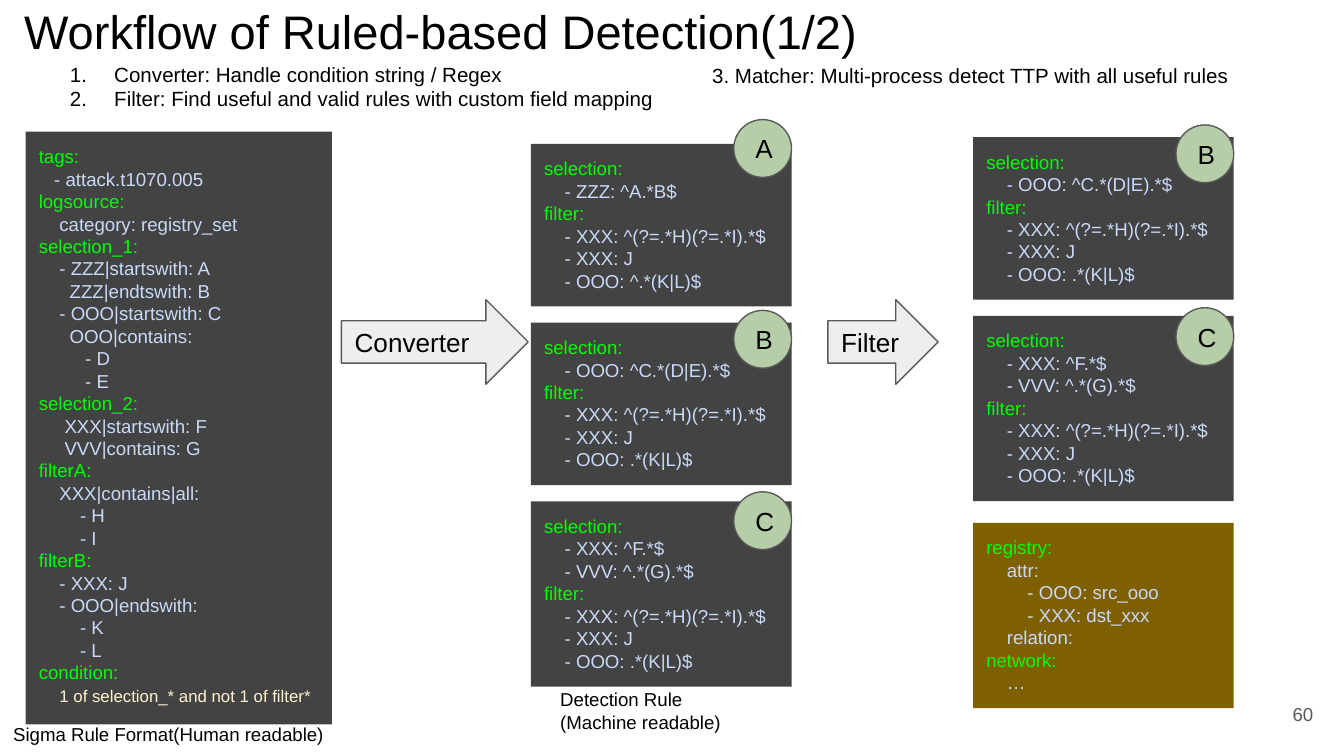
import copy
import pptx
import pptx.util
import pptx.dml.color
import pptx.enum.shapes
import pptx.enum.text
import lxml.etree

Inches, Pt = pptx.util.Inches, pptx.util.Pt
KIND = pptx.enum.shapes.MSO_SHAPE
ANCHOR = pptx.enum.text.MSO_ANCHOR
ALIGN = pptx.enum.text.PP_ALIGN
COLORS = {
    "black": "000000", "gray": "595959", "dark": "434343", "pale": "EEEEEE",
    "brown": "7F6000", "sage": "B5CEA8", "key": "00FF00", "value": "C9DAF8",
    "cream": "FFF2CC",
}

# Content: one string a paragraph, with \n for a line break inside it
TITLE = "Workflow of Ruled-based Detection(1/2)"
STEPS = [
    "Converter: Handle condition string / Regex",
    "Filter: Find useful and valid rules with custom field mapping",
]
MATCH = ["3. Matcher: Multi-process detect TTP with all useful rules"]
SIGMA = [
    "tags:", "   - attack.t1070.005",
    "logsource:", "    category: registry_set",
    "selection_1:",
    "    - ZZZ|startswith: A\n      ZZZ|endtswith: B",
    "    - OOO|startswith: C\n      OOO|contains:",
    "         - D\n         - E",
    "selection_2:", "     XXX|startswith: F\n     VVV|contains: G",
    "filterA:", "    XXX|contains|all:", "        - H\n        - I",
    "filterB:", "    - XXX: J", "    - OOO|endswith:",
    "        - K", "        - L",
    "condition: \n    ",
]
TAIL = "1 of selection_* and not 1 of filter*"
SELECT = {
    "A": "    - ZZZ: ^A.*B$",
    "B": "    - OOO: ^C.*(D|E).*$",
    "C": "    - XXX: ^F.*$\n    - VVV: ^.*(G).*$",
}
LAST = {"A": "^.*(K|L)$", "B": ".*(K|L)$", "C": ".*(K|L)$"}
FIELDS = [
    "registry:", "    attr:",
    "        - OOO: src_ooo\n        - XXX: dst_xxx",
    "    relation:", "network:", "    …",
]
# Rule cards: name, left, top, height, top of badge
CARDS = [
    ("A", 3.95, 1.07, 1.21, 0.89), ("B", 3.95, 2.4, 1.21, 2.31),
    ("C", 3.95, 3.73, 1.38, 3.66),
    ("B", 7.24, 1.02, 1.21, 0.93), ("C", 7.24, 2.35, 1.38, 2.29),
]
ARROWS = [("Converter", 2.54, 1.39), ("Filter", 6.16, 0.82)]
# Plain labels: lines, place, format
LABELS = [
    (MATCH, (5.2, 0.37, 5.45, 0.57), {"size": 11}),
    (["Sigma Rule Format(Human readable)"], (0, 5.28, 3.01, 0.37), {}),
    (["Detection Rule", "(Machine readable)"], (4.07, 5.02, 1.69, 0.54), {}),
    (["60"], (9.27, 5.1, 0.6, 0.43),
     {"color": "gray", "align": ALIGN.RIGHT, "anchor": ANCHOR.MIDDLE}),
]
CARD_W, BADGE = 1.94, 0.43


def rgb(name):
    return pptx.dml.color.RGBColor.from_string(COLORS[name])


def add_run(para, text, size, color):
    run = para.add_run()
    run.text = text
    run.font.name = "Arial"
    run.font.size = Pt(size)
    run.font.color.rgb = rgb(color)
    return run


def write(shape, lines, size=10, color="black", align=ALIGN.LEFT,
          anchor=ANCHOR.TOP, code=False, number=False, tail=""):
    """Fill a shape with one paragraph a line; tail ends the last one."""
    frame = shape.text_frame
    frame.word_wrap = True
    frame.auto_size = pptx.enum.text.MSO_AUTO_SIZE.NONE
    frame.vertical_anchor = anchor
    frame.margin_left = frame.margin_right = Inches(0.1)
    frame.margin_top = frame.margin_bottom = Inches(0.1)
    for i, line in enumerate(lines):
        para = frame.paragraphs[0] if i == 0 else frame.add_paragraph()
        para.alignment = align
        para.space_before = Pt(0)
        if number:
            props = para._p.get_or_add_pPr()
            props.set("marL", str(Inches(0.5)))
            props.set("indent", str(-Inches(0.33)))
            mark = lxml.etree.SubElement(
                props, pptx.oxml.ns.qn("a:buAutoNum"))
            mark.set("type", "arabicPeriod")
        tint = color
        if code:
            tint = "value" if line.startswith(" ") else "key"
        for j, part in enumerate(line.split("\n")):
            if j:
                para.add_line_break()
                # The break takes the format of the run before it
                para._p[-1].append(copy.deepcopy(run._r.rPr))
            run = add_run(para, part, size, tint)
    if tail:
        add_run(para, tail, 9, "cream")


def place(shape, box):
    shape.left, shape.top, shape.width, shape.height = map(Inches, box)


def draw(kind, box, fill, lines, edge=None, **style):
    shape = slide.shapes.add_shape(kind, *map(Inches, box))
    shape.shadow.inherit = False
    shape.fill.solid()
    shape.fill.fore_color.rgb = rgb(fill)
    if edge:
        shape.line.color.rgb = rgb(edge)
        shape.line.width = Pt(0.75)
    else:
        shape.line.fill.background()
    write(shape, lines, **style)


deck = pptx.Presentation()
deck.slide_width = Inches(10)
deck.slide_height = deck.slide_width * 9 // 16
slide = deck.slides.add_slide(deck.slide_layouts[1])

# Title and numbered steps
title, body = slide.placeholders
place(title, (0.08, -0.08, 9.32, 0.63))
write(title, [TITLE], size=25.2)
place(body, (0.25, 0.36, 5.45, 0.57))
write(body, STEPS, size=11, number=True)

# Source rule and field mapping
draw(KIND.RECTANGLE, (0.19, 0.98, 2.28, 4.41), "dark", SIGMA,
     code=True, tail=TAIL)
draw(KIND.RECTANGLE, (7.24, 3.89, CARD_W, 1.38), "brown", FIELDS, code=True)

# Arrows between the columns
for name, left, width in ARROWS:
    draw(KIND.RIGHT_ARROW, (left, 2.23, width, 0.63), "pale", [name],
         edge="gray", size=14, anchor=ANCHOR.MIDDLE)

# Rule cards, each with a badge at its right edge
for name, left, top, height, rise in CARDS:
    rule = ["selection:", SELECT[name], "filter:",
            "    - XXX: ^(?=.*H)(?=.*I).*$", "    - XXX: J",
            "    - OOO: " + LAST[name]]
    draw(KIND.RECTANGLE, (left, top, CARD_W, height), "dark", rule, code=True)
    draw(KIND.OVAL, (left + CARD_W - BADGE, rise, BADGE, BADGE), "sage",
         [name], edge="gray", size=14, anchor=ANCHOR.MIDDLE)

# Labels
for lines, box, style in LABELS:
    write(slide.shapes.add_textbox(*map(Inches, box)), lines, **style)

deck.save("out.pptx")
